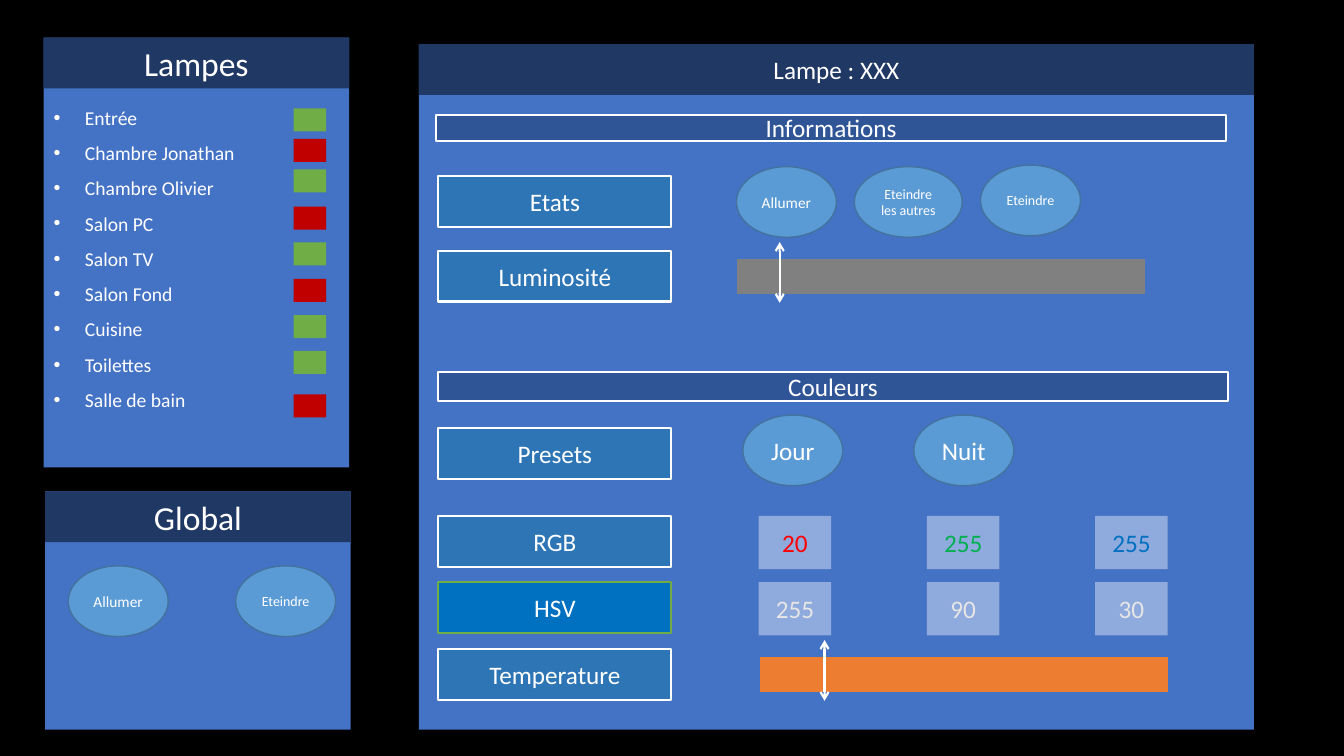
from lxml.etree import SubElement
from pptx import Presentation
from pptx.dml.color import RGBColor
from pptx.enum.shapes import MSO_CONNECTOR as Line, MSO_SHAPE as Shape
from pptx.enum.text import MSO_ANCHOR as Anchor, PP_ALIGN as Align
from pptx.oxml.ns import qn
from pptx.util import Cm, Pt

WHITE, BLACK, PANEL, HEADER = "FFFFFF", "000000", "4472C4", "203864"
SECTION, LABEL, BUTTON, BUTTON_EDGE = "2F5597", "2E75B6", "5B9BD5", "43739E"
CELL, PALE, ON, OFF = "8FAADC", "E7E6E6", "70AD47", "C00000"
LABEL_SIZE, BUTTON_SIZE = (5.87, 1.28), (2.52, 1.78)
HEADER_HEIGHT = 1.28


def color(hex_value):
    """Turn a hex string into a colour."""
    return RGBColor.from_string(hex_value)


def block(shapes, box, fill, text="", size=18, ink=WHITE, edge=None, edge_width=1.5, kind=Shape.RECTANGLE):
    """Draw a filled shape with centred text."""
    shape = shapes.add_shape(kind, *map(Cm, box))
    shape.shadow.inherit = False
    shape.fill.solid()
    shape.fill.fore_color.rgb = color(fill)
    if edge:
        shape.line.color.rgb = color(edge)
        shape.line.width = Pt(edge_width)
    else:
        shape.line.fill.background()
    frame = shape.text_frame
    frame.word_wrap = True
    frame.vertical_anchor = Anchor.MIDDLE
    if text:
        frame.text = text
    for paragraph in frame.paragraphs:
        paragraph.alignment = Align.CENTER
        for run in paragraph.runs:
            run.font.name = "Calibri"
            run.font.size = Pt(size)
            run.font.color.rgb = color(ink)
    return shape


def button(shapes, x, y, text, size, width=BUTTON_SIZE[0]):
    """Draw an oval button."""
    block(shapes, (x, y, width, BUTTON_SIZE[1]), BUTTON, text, size,
          edge=BUTTON_EDGE, edge_width=1, kind=Shape.OVAL)


def stroke(shapes, start, end, ink, width, arrows=False):
    """Draw a straight line, with arrowheads at both ends on request."""
    line = shapes.add_connector(Line.STRAIGHT, *map(Cm, start + end))
    line.line.color.rgb = color(ink)
    line.line.width = Pt(width)
    properties = line.line._get_or_add_ln()
    if arrows:
        for end_name in ("a:headEnd", "a:tailEnd"):
            SubElement(properties, qn(end_name), type="arrow")
    SubElement(properties.getparent(), qn("a:effectLst"))


def slider(shapes, x, y, cursor, ink):
    """Draw a slider track and its cursor."""
    stroke(shapes, (x + 10.29, y), (x, y), ink, 24.75)
    stroke(shapes, (x + cursor, y - 0.86), (x + cursor, y + 0.67), WHITE, 1.5, True)


def panel(shapes, box, title, size, body=""):
    """Draw a panel with its header band and return the body."""
    left, top, width, _ = box
    background = block(shapes, box, PANEL, body, 14)
    block(shapes, (left, top, width, HEADER_HEIGHT), HEADER, title, size)
    return background


def lamps_panel(shapes, box):
    """List the lamps with their status lights."""
    left, top = box[:2]
    lamps = [("Entrée", ON, 1.78), ("Chambre Jonathan", OFF, 2.55),
             ("Chambre Olivier", ON, 3.32), ("Salon PC", OFF, 4.26),
             ("Salon TV", ON, 5.16), ("Salon Fond", OFF, 6.08),
             ("Cuisine", ON, 6.99), ("Toilettes", ON, 7.89), ("Salle de bain", OFF, 8.99)]
    body = panel(shapes, box, "Lampes", 24, "\n".join(name for name, _, _ in lamps))
    for paragraph in body.text_frame.paragraphs:
        paragraph.alignment = Align.LEFT
        paragraph.line_spacing = 1.5
        properties = paragraph._p.get_or_add_pPr()
        properties.set("marL", str(Cm(0.79)))
        properties.set("indent", str(Cm(-0.79)))
        SubElement(properties, qn("a:buFont"), typeface="Arial")
        SubElement(properties, qn("a:buChar"), char="•")
    for _, status, y in lamps:
        block(shapes, (left + 6.3, top + y, 0.82, 0.58), status)


def global_panel(shapes, box):
    """Draw the buttons that act on every lamp."""
    left, top = box[:2]
    panel(shapes, box, "Global", 24)
    button(shapes, left + 0.58, top + 1.88, "Allumer", 11)
    button(shapes, left + 4.8, top + 1.88, "Eteindre", 10)


def detail_panel(shapes, box):
    """Draw the settings of one lamp."""
    left, top = box[:2]
    panel(shapes, box, "Lampe : XXX", 18)
    for title, x, y, height in [("Informations", 0.43, 1.78, 0.66), ("Couleurs", 0.48, 8.26, 0.74)]:
        block(shapes, (left + x, top + y, 19.91, height), SECTION, title, edge=WHITE)

    for name, y in [("Etats", 3.33), ("Luminosité", 5.21), ("Presets", 9.68),
                    ("RGB", 11.89), ("HSV", 13.56), ("Temperature", 15.24)]:
        fill, edge = ("0070C0", ON) if name == "HSV" else (LABEL, WHITE)
        block(shapes, (left + 0.49, top + y, *LABEL_SIZE), fill, name, edge=edge)

    for name, size, x, y, width in [("Allumer", 11, 8, 3.09, 2.52),
                                    ("Eteindre les autres", 10, 10.97, 3.09, 2.72),
                                    ("Eteindre", 10, 14.15, 3.05, 2.52),
                                    ("Jour", 18, 8.16, 9.35, 2.52),
                                    ("Nuit", 18, 12.47, 9.35, 2.52)]:
        button(shapes, left + x, top + y, name, size, width)

    channels = [(11.89, [("20", "FF0000"), ("255", "00B050"), ("255", "0070C0")]),
                (13.56, [("255", PALE), ("90", PALE), ("30", PALE)])]
    for y, values in channels:
        for column, (value, ink) in enumerate(values):
            block(shapes, (left + 8.56 + 4.24 * column, top + y, 1.83, 1.34), CELL, value, ink=ink)

    slider(shapes, left + 8.01, top + 5.85, 1.08, "808080")
    slider(shapes, left + 8.59, top + 15.88, 1.63, "ED7D31")


def main():
    """Build and save the slide."""
    deck = Presentation()
    deck.slide_width, deck.slide_height = Cm(33.87), Cm(19.05)
    shapes = deck.slides.add_slide(deck.slide_layouts[6]).shapes
    block(shapes, (0, 0, 33.87, 19.05), BLACK, edge=BLACK, edge_width=1)
    detail_panel(shapes, (10.56, 1.11, 21.04, 17.28))
    lamps_panel(shapes.add_group_shape().shapes, (1.1, 0.95, 7.7, 10.83))
    global_panel(shapes.add_group_shape().shapes, (1.14, 12.38, 7.7, 6.01))
    deck.save("out.pptx")


main()
